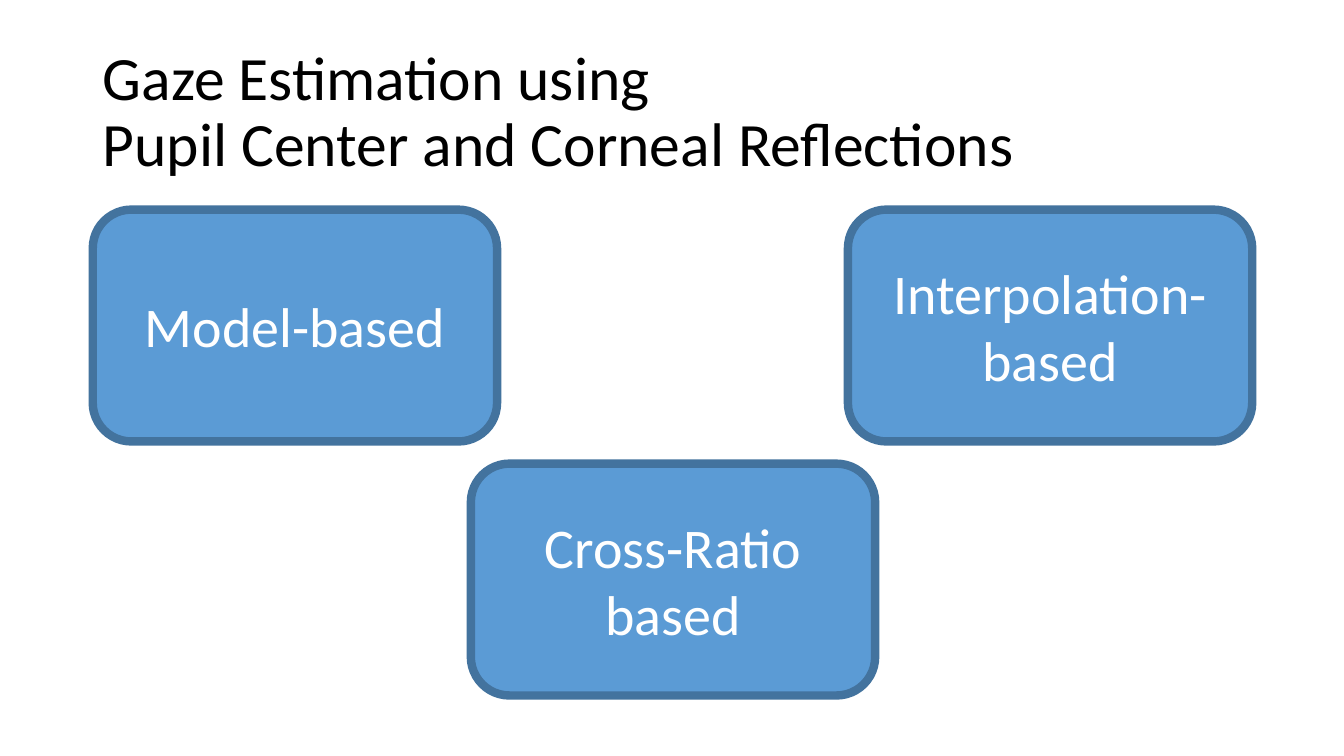
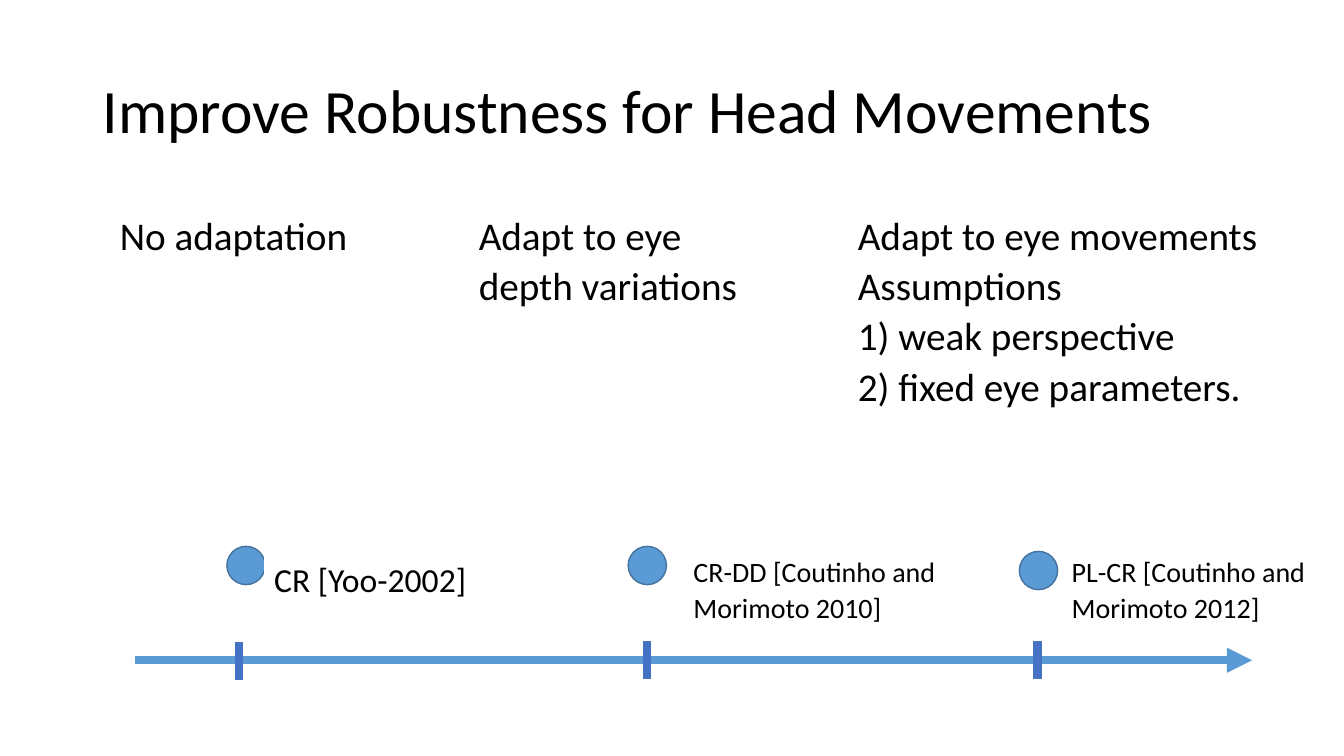
from lxml import etree
from pptx import Presentation
from pptx.dml.color import RGBColor
from pptx.enum.shapes import MSO_CONNECTOR, MSO_SHAPE
from pptx.enum.text import MSO_ANCHOR, MSO_AUTO_SIZE, PP_ALIGN
from pptx.oxml.ns import qn
from pptx.util import Pt

LINE = MSO_CONNECTOR.STRAIGHT
ROUND, OVAL = MSO_SHAPE.ROUNDED_RECTANGLE, MSO_SHAPE.OVAL
TOP, MIDDLE = MSO_ANCHOR.TOP, MSO_ANCHOR.MIDDLE
LEFT, CENTER = PP_ALIGN.LEFT, PP_ALIGN.CENTER
FIXED = MSO_AUTO_SIZE.NONE

BLACK = RGBColor(0x00, 0x00, 0x00)
WHITE = RGBColor(0xFF, 0xFF, 0xFF)
BLUE = RGBColor(0x5B, 0x9B, 0xD5)
EDGE = RGBColor(0x43, 0x73, 0x9E)
MARK = RGBColor(0x44, 0x72, 0xC4)

FONT = "Calibri"
SCALE = 9144  # EMU per px, 100 px to the inch


def px(*sizes):
    return [size * SCALE for size in sizes]


def write(frame, text, size=28, color=BLACK, align=LEFT, anchor=TOP,
          space=1.0, after=0):
    """Fill a frame with one paragraph; a newline is a line break."""
    frame.word_wrap = True
    frame.auto_size = FIXED
    frame.vertical_anchor = anchor
    para = frame.paragraphs[0]
    para.text = text
    para.alignment = align
    para.line_spacing = space
    para.space_after = Pt(after)
    for run in para.runs:
        run.font.name = FONT
        run.font.size = Pt(size)
        run.font.color.rgb = color


class Deck:
    def __init__(self):
        self.file = Presentation()
        self.file.slide_width, self.file.slide_height = px(1333, 750)
        self.slide = None

    def start(self, title):
        """Add a slide with its title."""
        self.slide = self.file.slides.add_slide(self.file.slide_layouts[5])
        head = self.slide.shapes.title
        head.left, head.top, head.width, head.height = px(92, 40, 1150, 145)
        write(head.text_frame, title, size=44, anchor=MIDDLE, space=0.9)

    def shape(self, kind, x, y, w, h, weight):
        item = self.slide.shapes.add_shape(kind, *px(x, y, w, h))
        item.shadow.inherit = False
        item.fill.solid()
        item.fill.fore_color.rgb = BLUE
        item.line.color.rgb = EDGE
        item.line.width = Pt(weight)
        return item

    def card(self, text, x, y):
        item = self.shape(ROUND, x, y, 401, 230, 6)
        write(item.text_frame, text, size=40, color=WHITE, align=CENTER,
              anchor=MIDDLE)

    def dot(self, x, y):
        self.shape(OVAL, x, y, 38, 38, 1)

    def note(self, text, x, y, w, h, size=28):
        item = self.slide.shapes.add_textbox(*px(x, y, w, h))
        item.fill.solid()
        item.fill.fore_color.rgb = WHITE
        write(item.text_frame, text, size=size, space=1.07, after=8)

    def line(self, x1, y1, x2, y2, color, arrow=False):
        item = self.slide.shapes.add_connector(LINE, *px(x1, y1, x2, y2))
        item.line.color.rgb = color
        item.line.width = Pt(6)
        if arrow:
            tip = etree.SubElement(item.line._get_or_add_ln(), qn("a:tailEnd"))
            tip.set("type", "triangle")
        etree.SubElement(item._element.spPr, qn("a:effectLst"))


def main():
    deck = Deck()

    # Three families of methods
    deck.start("Gaze Estimation using \nPupil Center and Corneal Reflections")
    for text, x, y in (("Interpolation-based", 841, 208),
                       ("Cross-Ratio based", 467, 460),
                       ("Model-based", 92, 208)):
        deck.card(text, x, y)

    # Timeline of cross-ratio methods
    deck.start("Improve Robustness for Head Movements")
    deck.line(134, 655, 1242, 655, BLUE, arrow=True)
    for x, y in ((237, 637), (642, 636), (1029, 636)):
        deck.line(x, y, x, y + 38, MARK)
    for x, y in ((225, 542), (623, 542), (1011, 547)):
        deck.dot(x, y)

    # What each method adapts to
    deck.note("No adaptation", 109, 201, 256, 51)
    deck.note("Adapt to eye \ndepth variations", 465, 201, 352, 119)
    deck.note("Adapt to eye movements\nAssumptions \n"
              "1) weak perspective\n2) fixed eye parameters.",
              841, 201, 451, 263)

    # Method names beside the dots
    deck.note("CR [Yoo-2002]", 262, 547, 275, 39, size=24)
    for text, x in (("CR-DD [Coutinho and Morimoto 2010]", 678),
                    ("PL-CR [Coutinho and Morimoto 2012]", 1053)):
        deck.note(text, x, 543, 264, 80, size=20)

    deck.file.save("out.pptx")


if __name__ == "__main__":
    main()
